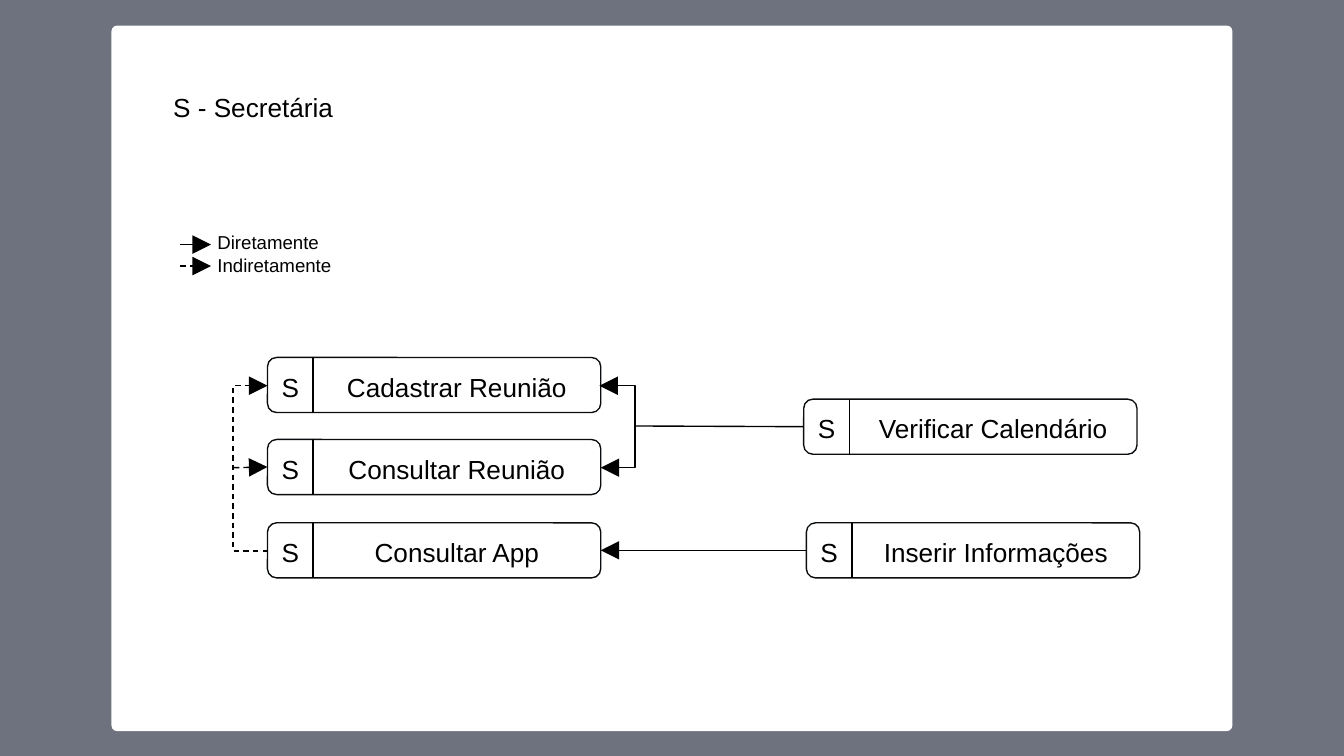
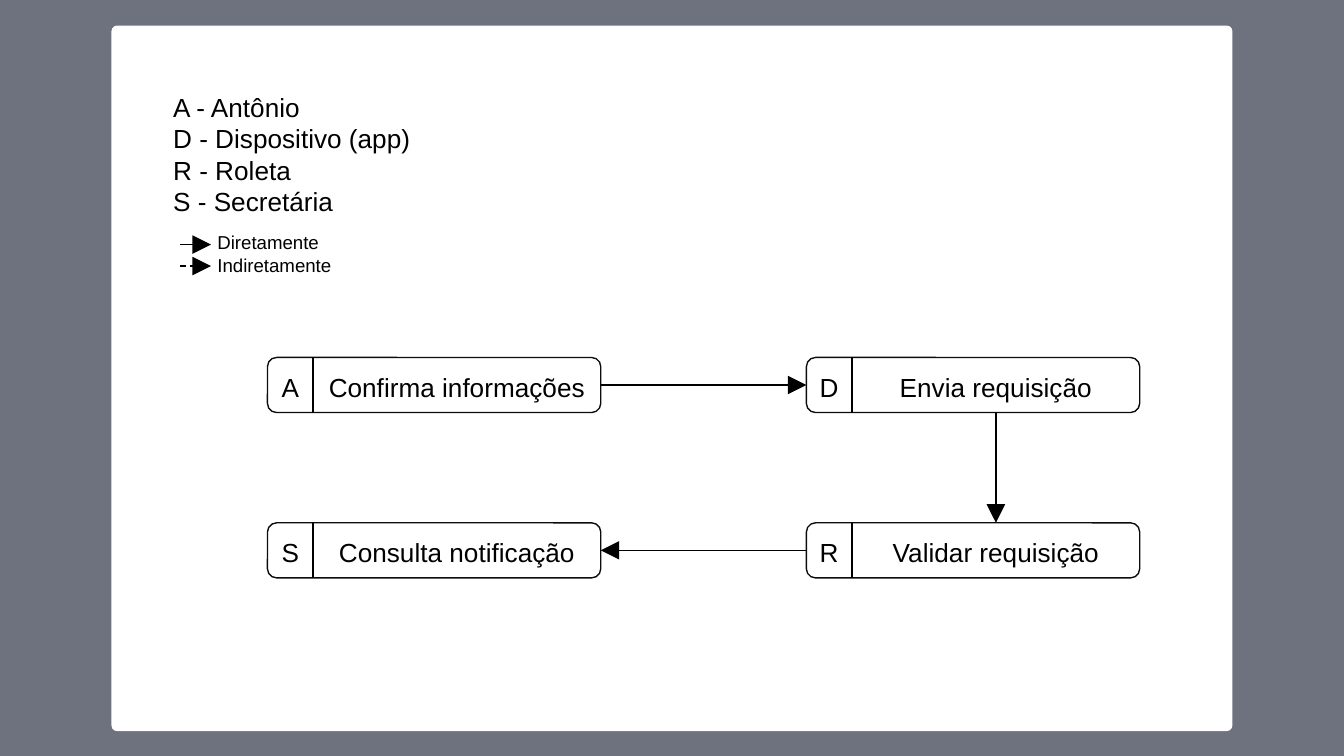
from dataclasses import dataclass

from lxml.etree import SubElement
from pptx import Presentation
from pptx.dml.color import RGBColor
from pptx.enum.dml import MSO_LINE as Dash
from pptx.enum.shapes import MSO_CONNECTOR as Link, MSO_SHAPE as Shape
from pptx.enum.text import PP_ALIGN as Align
from pptx.oxml.ns import qn
from pptx.util import Inches, Pt


@dataclass(frozen=True)
class Theme:
    backdrop = RGBColor(0x21, 0x25, 0x39)
    panel = RGBColor(0xFF, 0xFF, 0xFF)
    outline = RGBColor(0x0A, 0x0D, 0x10)
    ink = RGBColor(0x00, 0x00, 0x00)
    font = "Arial"
    body = Pt(14)
    small = Pt(10)
    stroke = Pt(0.75)


theme = Theme()
TOP, LEFT, BOTTOM, RIGHT = range(4)
CARD_W, CARD_H, ACTOR_W = 2.48, 0.41, 0.34
LEFT_X, RIGHT_X = 1.99, 6
ROWS = [2.66, 3.27, 3.89]
MIDDLES = [2.87, 3.48, 4.1]

# Cards: actor, action, left, top.
# Arrows: start card, its side, end card, its side.
diagrams = [
    {
        "actors": ["S - Secretária"],
        "cards": [
            ("S", "Cadastrar Reunião", LEFT_X, ROWS[0]),
            ("S", "Consultar Reunião", LEFT_X, ROWS[1]),
            ("S", "Consultar App", LEFT_X, ROWS[2]),
            ("S", "Verificar Calendário", 5.98, 2.97),
            ("S", "Inserir Informações", RIGHT_X, ROWS[2]),
        ],
        "arrows": [("Inserir Informações", LEFT, "Consultar App", RIGHT)],
    },
    {
        "actors": ["A - Antônio", "D - Dispositivo (app)", "R - Roleta", "S - Secretária"],
        "cards": [
            ("A", "Confirma informações", LEFT_X, ROWS[0]),
            ("S", "Consulta notificação", LEFT_X, ROWS[2]),
            ("D", "Envia requisição", RIGHT_X, ROWS[0]),
            ("R", "Validar requisição", RIGHT_X, ROWS[2]),
        ],
        "arrows": [
            ("Validar requisição", LEFT, "Consulta notificação", RIGHT),
            ("Confirma informações", RIGHT, "Envia requisição", LEFT),
        ],
    },
]


def add_text(slide, lines, left, top, width, height, size=theme.body, align=None):
    box = slide.shapes.add_textbox(Inches(left), Inches(top), Inches(width), Inches(height))
    frame = box.text_frame
    frame.word_wrap = True
    frame.margin_left = frame.margin_right = Inches(0.1)
    frame.margin_top = frame.margin_bottom = Inches(0.1)
    frame.text = "\n".join(lines)
    for paragraph in frame.paragraphs:
        paragraph.alignment = align
        paragraph.font.name = theme.font
        paragraph.font.size = size
        paragraph.font.color.rgb = theme.ink
    return box


def add_line(slide, start, end, heads=(), dashed=False, bend=None):
    """Draw a line; heads names its arrow ends, bend is the elbow's offset from start."""
    kind = Link.STRAIGHT if bend is None else Link.ELBOW
    line = slide.shapes.add_connector(kind, *map(Inches, start + end))
    line.line.color.rgb = theme.ink
    line.line.width = theme.stroke
    if dashed:
        line.line.dash_style = Dash.DASH
    properties = line.element.spPr
    for head in heads:
        SubElement(properties.find(qn("a:ln")), qn(f"a:{head}"),
                   type="triangle", w="lg", len="lg")
    SubElement(properties, qn("a:effectLst"))
    if bend is not None:
        ratio = round(bend / (end[0] - start[0]) * 100000)
        guides = properties.find(qn("a:prstGeom")).get_or_add_avLst()
        SubElement(guides, qn("a:gd"), name="adj1", fmla=f"val {ratio}")
    return line


prs = Presentation()
prs.slide_width = Inches(10)
prs.slide_height = prs.slide_width * 9 // 16
layout = prs.slide_layouts[6]
for placeholder in list(layout.placeholders):
    layout.shapes.element.remove(placeholder.element)

slides = [prs.slides.add_slide(layout) for _ in diagrams]

# The translucent backdrop is drawn once and moved to the shared layout.
backdrop = slides[0].shapes.add_shape(Shape.RECTANGLE, 0, 0, prs.slide_width, prs.slide_height)
backdrop.shadow.inherit = False
backdrop.fill.solid()
backdrop.fill.fore_color.rgb = theme.backdrop
backdrop.line.fill.background()
tint = backdrop.element.spPr.find(qn("a:solidFill")).find(qn("a:srgbClr"))
SubElement(tint, qn("a:alpha"), val="65000")
layout.shapes.element.append(backdrop.element)

action_boxes = {}
cards = {}
for slide, diagram in zip(slides, diagrams):
    panel = slide.shapes.add_shape(
        Shape.ROUNDED_RECTANGLE, Inches(0.83), Inches(0.19), Inches(8.34), Inches(5.25))
    panel.adjustments[0] = 0.008
    panel.shadow.inherit = False
    panel.fill.solid()
    panel.fill.fore_color.rgb = theme.panel
    panel.line.fill.background()

    for actor, action, left, top in diagram["cards"]:
        card = slide.shapes.add_shape(
            Shape.ROUNDED_RECTANGLE, Inches(left), Inches(top), Inches(CARD_W), Inches(CARD_H))
        card.adjustments[0] = 0.167
        card.shadow.inherit = False
        card.fill.background()
        card.line.color.rgb = theme.outline
        card.line.width = theme.stroke
        cards[action] = card
        divider = left + ACTOR_W
        add_line(slide, (divider, top), (divider, top + CARD_H))
        add_text(slide, [actor], left, top, ACTOR_W, CARD_H, align=Align.CENTER)
        action_boxes[action] = add_text(
            slide, [action], divider, top, CARD_W - ACTOR_W, CARD_H, align=Align.CENTER)

    for source, source_side, target, target_side in diagram["arrows"]:
        arrow = add_line(slide, (0, 0), (1, 1), ["tailEnd"])
        arrow.begin_connect(cards[source], source_side)
        arrow.end_connect(cards[target], target_side)

    add_text(slide, diagram["actors"], 1.19, 0.58, 2.14, 0.41)
    add_text(slide, ["Diretamente", "Indiretamente"], 1.52, 1.62, 2.14, 0.61, theme.small)
    for key_y, dashed in [(1.82, False), (1.98, True)]:
        add_line(slide, (1.34, key_y), (1.57, key_y), ["tailEnd"], dashed)

secretary, access = slides

# Indirect uses run down the left side, with a branch to the middle card.
add_line(secretary, (LEFT_X, MIDDLES[0]), (LEFT_X + 0.01, MIDDLES[2]), ["headEnd"],
         dashed=True, bend=-0.26)
branch = add_line(secretary, (1.74, MIDDLES[1]), (LEFT_X, MIDDLES[1]), ["tailEnd"], dashed=True)
branch.end_connect(cards["Consultar Reunião"], LEFT)

# The calendar check feeds both meeting cards through one bracket.
add_line(secretary, (4.46, MIDDLES[0]), (4.47, MIDDLES[1]), ["headEnd", "tailEnd"], bend=0.27)
feed = add_line(secretary, (5.98, 3.17), (4.73, 3.17))
feed.begin_connect(cards["Verificar Calendário"], LEFT)

request = add_line(access, (7.41, 3.08), (7.41, 3.89), ["tailEnd"])
request.begin_connect(action_boxes["Envia requisição"], BOTTOM)
request.end_connect(action_boxes["Validar requisição"], TOP)

prs.save("out.pptx")
